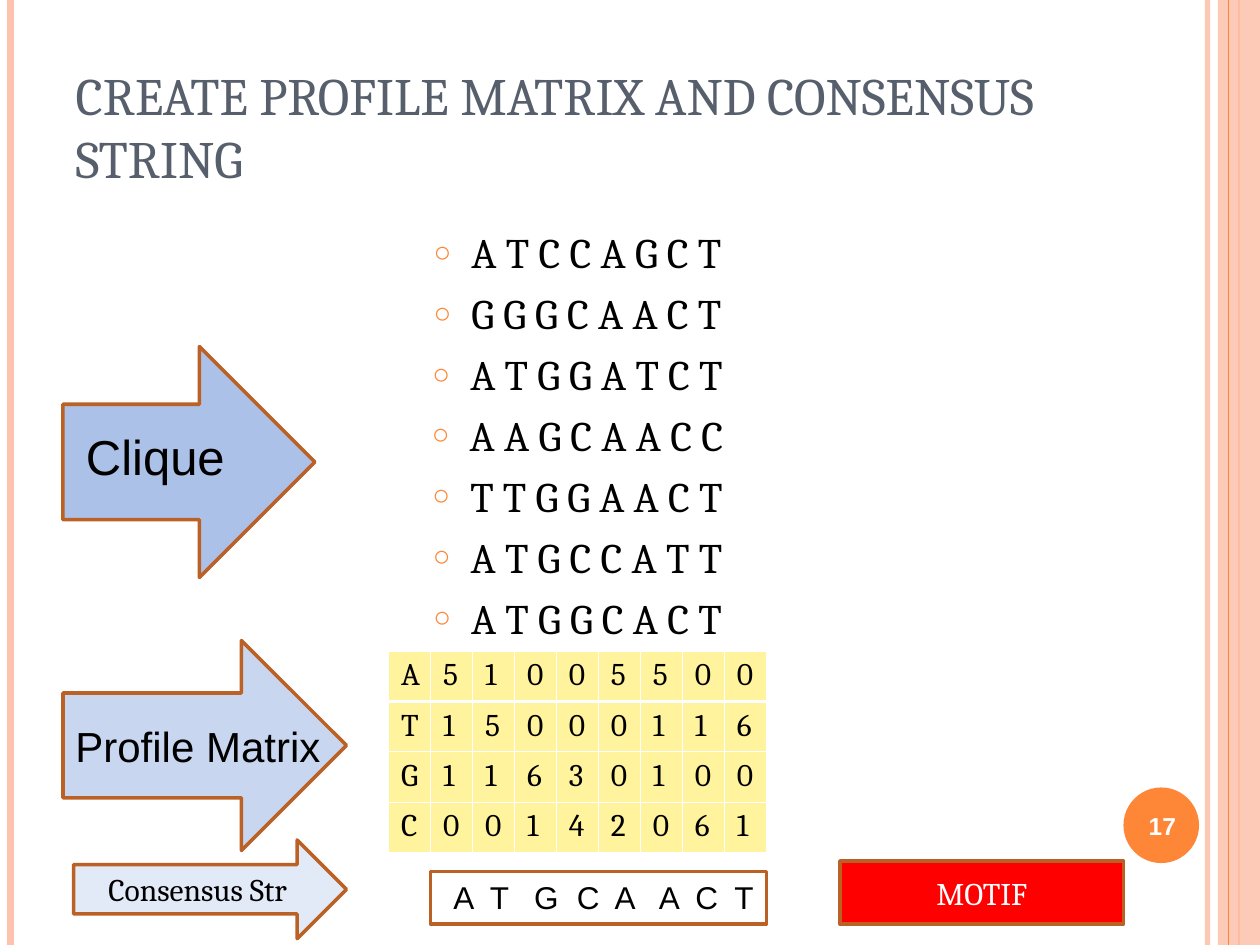
from typing import NamedTuple, Optional

from lxml.etree import SubElement
from pptx import Presentation
from pptx.dml.color import RGBColor
from pptx.enum.shapes import MSO_CONNECTOR, MSO_SHAPE
from pptx.enum.text import MSO_ANCHOR, MSO_AUTO_SIZE, PP_ALIGN
from pptx.oxml.ns import qn
from pptx.util import Inches, Pt

# Grid: 120 columns by 90 rows, both one twelfth of an inch
COLS, ROWS = 120, 90
SERIF, SANS = "Cambria", "Arial"
ORANGE, PEACH, RUST = "FE8637", "FEC3AE", "BB6126"
BLACK, WHITE = "000000", "FFFFFF"

prs = Presentation()
prs.slide_width, prs.slide_height = Inches(10), Inches(7.5)
s = prs.slides.add_slide(prs.slide_layouts[1])


class Box(NamedTuple):
    col: float
    row: float
    cols: float
    rows: float


class Stripe(NamedTuple):
    col: float
    color: str
    width: float
    alpha: int = 100


class Block(NamedTuple):
    kind: MSO_SHAPE
    box: Box
    fill: Optional[str]
    line: Optional[str] = RUST
    text: str = ""
    color: str = BLACK


class Label(NamedTuple):
    text: str
    box: Box
    size: int
    color: str = BLACK
    bold: bool = False
    align: PP_ALIGN = PP_ALIGN.LEFT
    anchor: MSO_ANCHOR = MSO_ANCHOR.TOP


def rgb(color: str) -> RGBColor:
    return RGBColor.from_string(color)


def emu(box: Box) -> list[int]:
    w, h = prs.slide_width / COLS, prs.slide_height / ROWS
    return [round(v * unit) for v, unit in zip(box, (w, h, w, h))]


def set_attrs(obj, **values) -> None:
    for name, value in values.items():
        setattr(obj, name, value)


def place(sp, box: Box) -> None:
    set_attrs(sp, **dict(zip(("left", "top", "width", "height"), emu(box))))


def write(p, text: str, size: int, font: str, color: str, bold=False, align=PP_ALIGN.LEFT) -> None:
    r = p.add_run()
    r.text = text
    set_attrs(r.font, size=Pt(size), name=font, bold=bold)
    r.font.color.rgb = rgb(color)
    p.alignment = align


def set_alpha(sp, percent: int) -> None:
    clr = next(sp._element.spPr.iter(qn("a:srgbClr")))
    SubElement(clr, qn("a:alpha"), val=str(percent * 1000))


def add_stripe(stripe: Stripe) -> None:
    x, top, _, height = emu(Box(stripe.col, 0, 0, ROWS))
    ln = s.shapes.add_connector(MSO_CONNECTOR.STRAIGHT, x, top, x, height)
    ln.line.color.rgb = rgb(stripe.color)
    ln.line.width = Pt(stripe.width)
    SubElement(ln._element.spPr, qn("a:effectLst"))
    if stripe.alpha < 100:
        set_alpha(ln, stripe.alpha)


def add_block(block: Block):
    sp = s.shapes.add_shape(block.kind, *emu(block.box))
    sp.shadow.inherit = False
    if block.fill:
        sp.fill.solid()
        sp.fill.fore_color.rgb = rgb(block.fill)
    else:
        sp.fill.background()
    if block.line:
        sp.line.color.rgb = rgb(block.line)
        sp.line.width = Pt(2)
    else:
        sp.line.fill.background()
    if block.text:
        sp.text_frame.vertical_anchor = MSO_ANCHOR.MIDDLE
        write(sp.text_frame.paragraphs[0], block.text, 18, SERIF, block.color, align=PP_ALIGN.CENTER)
    return sp


def add_label(label: Label):
    tf = s.shapes.add_textbox(*emu(label.box)).text_frame
    set_attrs(tf, word_wrap=True, vertical_anchor=label.anchor)
    p = tf.paragraphs[0]
    write(p, label.text, label.size, SANS, label.color, label.bold, label.align)
    return p


def add_bullet(p) -> None:
    pPr = p._p.get_or_add_pPr()
    set_attrs(p, space_before=Pt(6))
    pPr.set("marL", str(Inches(0.3)))
    pPr.set("indent", str(Inches(-0.3)))
    SubElement(SubElement(pPr, qn("a:buClr")), qn("a:srgbClr"), val=ORANGE)
    SubElement(pPr, qn("a:buSzPct"), val="70000")
    SubElement(pPr, qn("a:buChar"), char="○")


def add_tabs(p, stops: list[float]) -> None:
    tabs = SubElement(p._p.get_or_add_pPr(), qn("a:tabLst"))
    for stop in stops:
        SubElement(tabs, qn("a:tab"), pos=str(Inches(stop)), algn="l")


def style_cell(cell, row: int) -> None:
    tcPr = cell._tc.get_or_add_tcPr()
    heavy = {0: "lnB", 1: "lnT"}.get(row)  # thicker rule below the first row
    for side in ("lnL", "lnR", "lnT", "lnB"):
        width = Pt(1.5 if side == heavy else 0.45)
        ln = SubElement(tcPr, qn(f"a:{side}"), w=str(width))
        SubElement(SubElement(ln, qn("a:solidFill")), qn("a:srgbClr"), val=WHITE)
    cell.fill.solid()
    cell.fill.fore_color.rgb = rgb("FFF39D")


# Side stripes and page number disc
for stripe in (Stripe(115, PEACH, 3, 93), Stripe(1, PEACH, 4.5), Stripe(118, ORANGE, 1.5)):
    add_stripe(stripe)
band = add_block(Block(MSO_SHAPE.RECTANGLE, Box(116, 0, 4, ROWS), PEACH, None))
set_alpha(band, 87)
add_stripe(Stripe(117, ORANGE, 0.75))
add_block(Block(MSO_SHAPE.OVAL, Box(107, 75, 7.2, 7.2), ORANGE, None))

# Title
title = s.shapes.title
place(title, Box(6, 3.6, 98, 15))
set_attrs(title.text_frame, vertical_anchor=MSO_ANCHOR.BOTTOM, auto_size=MSO_AUTO_SIZE.NONE)
write(title.text_frame.paragraphs[0], "CREATE PROFILE MATRIX AND CONSENSUS STRING", 30, SERIF, "575F6D")

# Sequences of the clique
SEQUENCES = ["ATCCAGCT", "GGGCAACT", "ATGGATCT", "AAGCAACC", "TTGGAACT", "ATGCCATT", "ATGGCACT"]
body = s.placeholders[1]
place(body, Box(6, 21, 98, 69))
tf = body.text_frame
tf.auto_size = MSO_AUTO_SIZE.NONE
for i, sequence in enumerate(SEQUENCES):
    p = tf.add_paragraph() if i else tf.paragraphs[0]
    write(p, " ".join(sequence), 24, SERIF, BLACK, align=PP_ALIGN.CENTER)
    add_bullet(p)

# Profile matrix
PROFILE = ["A51005500", "T15000116", "G11630100", "C00142061"]
table = s.shapes.add_table(len(PROFILE), len(PROFILE[0]), *emu(Box(37, 62, 36, 19.2))).table
set_attrs(table, first_row=False, horz_banding=False)
for i, line in enumerate(PROFILE):
    for j, value in enumerate(line):
        cell = table.cell(i, j)
        style_cell(cell, i)
        write(cell.text_frame.paragraphs[0], value, 18, SERIF, BLACK)

# Step arrows and result boxes
ARROW, RECT = MSO_SHAPE.RIGHT_ARROW, MSO_SHAPE.RECTANGLE
for block in (
    Block(ARROW, Box(6, 33, 24, 22), "ACC1E8"),
    Block(ARROW, Box(6, 61, 27, 20), "C8D6F0"),
    Block(ARROW, Box(7, 80, 26, 9.4), "E3EAF7", text="Consensus Str"),
    Block(RECT, Box(41, 83, 32, 5), None),
    Block(RECT, Box(80, 82, 27, 6), "FF0000", text="MOTIF", color=WHITE),
):
    add_block(block)

# Labels
for label in (
    Label("Clique", Box(7, 40, 20, 6.8), 28),
    Label("Profile Matrix", Box(6, 68, 27, 6), 24),
    Label("17", Box(106.7, 75.2, 8, 6.8), 14, WHITE, True, PP_ALIGN.CENTER, MSO_ANCHOR.MIDDLE),
):
    add_label(label)
consensus = add_label(Label("\t".join("ATGCAACT"), Box(42, 83, 32, 7), 18))
add_tabs(consensus, [0.29, 0.64, 0.98, 1.28, 1.63, 1.92, 2.23])

prs.save("out.pptx")
